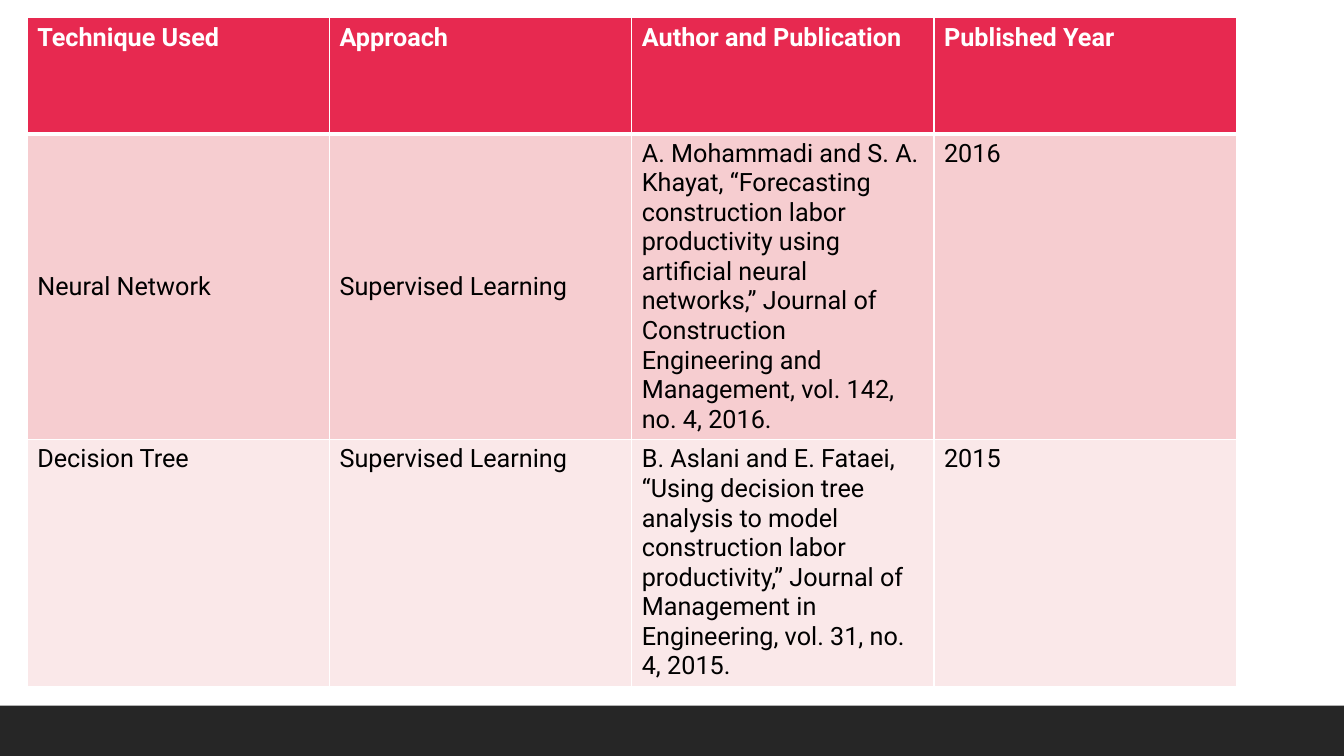
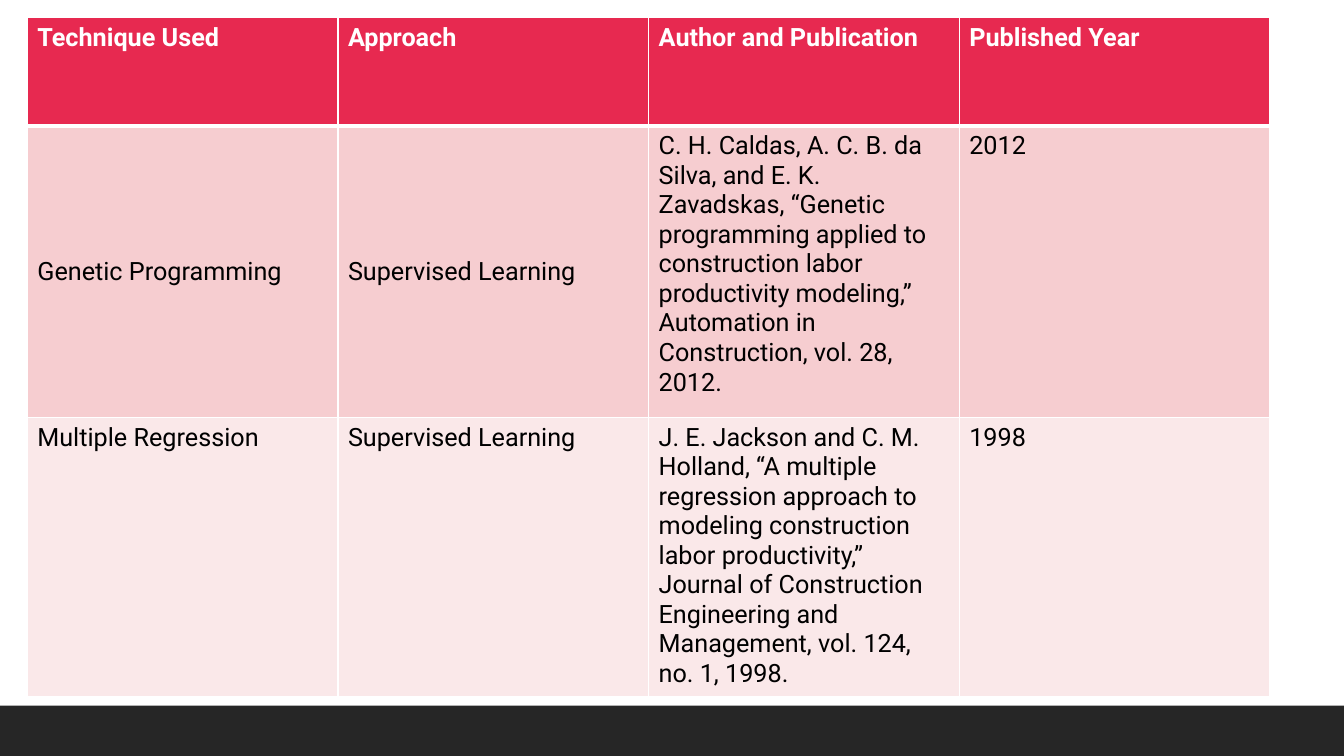
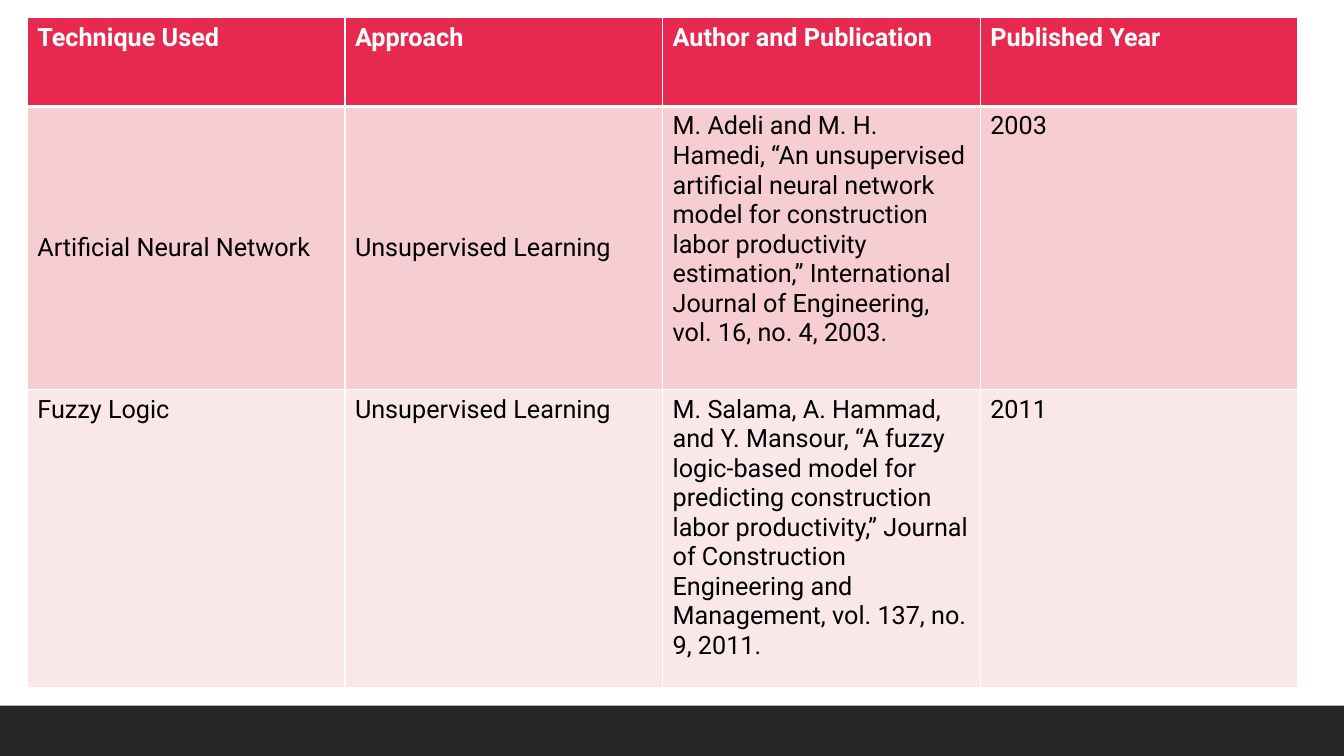
from lxml import etree
from pptx import Presentation
from pptx.dml.color import RGBColor
from pptx.enum import shapes, text
from pptx.oxml.ns import qn
from pptx.util import Pt

WIDE, HIGH = 960, 540


def paint(item, hue):
    item.fill.solid()
    item.fill.fore_color.rgb = RGBColor.from_string(hue)


class Deck:
    font, size = "Roboto", 18
    white, black, dark = "FFFFFF", "000000", "262626"
    fills = ["E72950", "F6CDD0", "FAE8E9"]
    left, top, foot = 19.5, 12.75, 36
    heads = ["Technique Used", "Approach", "Author and Publication",
             "Published Year"]

    def __init__(self):
        self.show = Presentation()
        self.show.slide_width, self.show.slide_height = Pt(WIDE), Pt(HIGH)
        self.slide = None

    # New slide with the dark footer band
    def page(self):
        self.slide = self.show.slides.add_slide(self.show.slide_layouts[6])
        band = self.slide.shapes.add_shape(
            shapes.MSO_SHAPE.RECTANGLE,
            Pt(0), Pt(HIGH - self.foot), Pt(WIDE), Pt(self.foot))
        band.shadow.inherit = False
        paint(band, self.dark)
        band.line.fill.background()

    # One cell edge; side is L, R, T or B
    def edge(self, cell, side, width):
        props = cell._tc.get_or_add_tcPr()
        line = etree.SubElement(props, qn("a:ln" + side), w=str(Pt(width)))
        solid = etree.SubElement(line, qn("a:solidFill"))
        etree.SubElement(solid, qn("a:srgbClr"), val=self.white)

    # Cell text, edges and fill, by row and column
    def cell(self, cell, words, row, col):
        head = row == 0
        cell.text = words
        if row == 1 and col < 2:
            cell.vertical_anchor = text.MSO_ANCHOR.MIDDLE
        font = cell.text_frame.paragraphs[0].font
        font.name, font.size, font.bold = self.font, Pt(self.size), head
        font.color.rgb = RGBColor.from_string(
            self.white if head else self.black)
        for side in "LRTB":
            thick = (row, side) in [(0, "B"), (1, "T")]
            self.edge(cell, side, 3 if thick else 1)
        paint(cell, self.fills[row])

    # Table of equal columns under the shared headings
    def table(self, width, highs, rows):
        rows = [self.heads] + rows
        count = len(self.heads)
        table = self.slide.shapes.add_table(
            len(rows), count, Pt(self.left), Pt(self.top),
            Pt(width * count), Pt(sum(highs))).table
        table.first_row = table.horz_banding = False
        for col in table.columns:
            col.width = Pt(width)
        for r, (high, row) in enumerate(zip(highs, rows)):
            table.rows[r].height = Pt(high)
            for c, words in enumerate(row):
                self.cell(table.cell(r, c), words, r, c)


# Column width, row heights and body rows of each slide
PAGES = [
    (215.9, [82.8, 218.2, 176], [
        ["Neural Network", "Supervised Learning",
         "A. Mohammadi and S. A. Khayat, “Forecasting construction labor "
         "productivity using artificial neural networks,” Journal of "
         "Construction Engineering and Management, vol. 142, no. 4, 2016.",
         "2016"],
        ["Decision Tree", "Supervised Learning",
         "B. Aslani and E. Fataei, “Using decision tree analysis to model "
         "construction labor productivity,” Journal of Management in "
         "Engineering, vol. 31, no. 4, 2015.",
         "2015"]]),
    (221.9, [77.4, 208.2, 199.2], [
        ["Genetic Programming", "Supervised Learning",
         "C. H. Caldas, A. C. B. da Silva, and E. K. Zavadskas, “Genetic "
         "programming applied to construction labor productivity modeling,” "
         "Automation in Construction, vol. 28, 2012.",
         "2012"],
        ["Multiple Regression", "Supervised Learning",
         "J. E. Jackson and C. M. Holland, “A multiple regression approach "
         "to modeling construction labor productivity,” Journal of "
         "Construction Engineering and Management, vol. 124, no. 1, 1998.",
         "1998"]]),
    (226.9, [63.4, 202.2, 212.8], [
        ["Artificial Neural Network", "Unsupervised Learning",
         "M. Adeli and M. H. Hamedi, “An unsupervised artificial neural "
         "network model for construction labor productivity estimation,” "
         "International Journal of Engineering, vol. 16, no. 4, 2003.",
         "2003"],
        ["Fuzzy Logic", "Unsupervised Learning",
         "M. Salama, A. Hammad, and Y. Mansour, “A fuzzy logic-based model "
         "for predicting construction labor productivity,” Journal of "
         "Construction Engineering and Management, vol. 137, no. 9, 2011.",
         "2011"]]),
]


def main():
    deck = Deck()
    for width, highs, rows in PAGES:
        deck.page()
        deck.table(width, highs, rows)
    deck.show.save("out.pptx")


if __name__ == "__main__":
    main()
